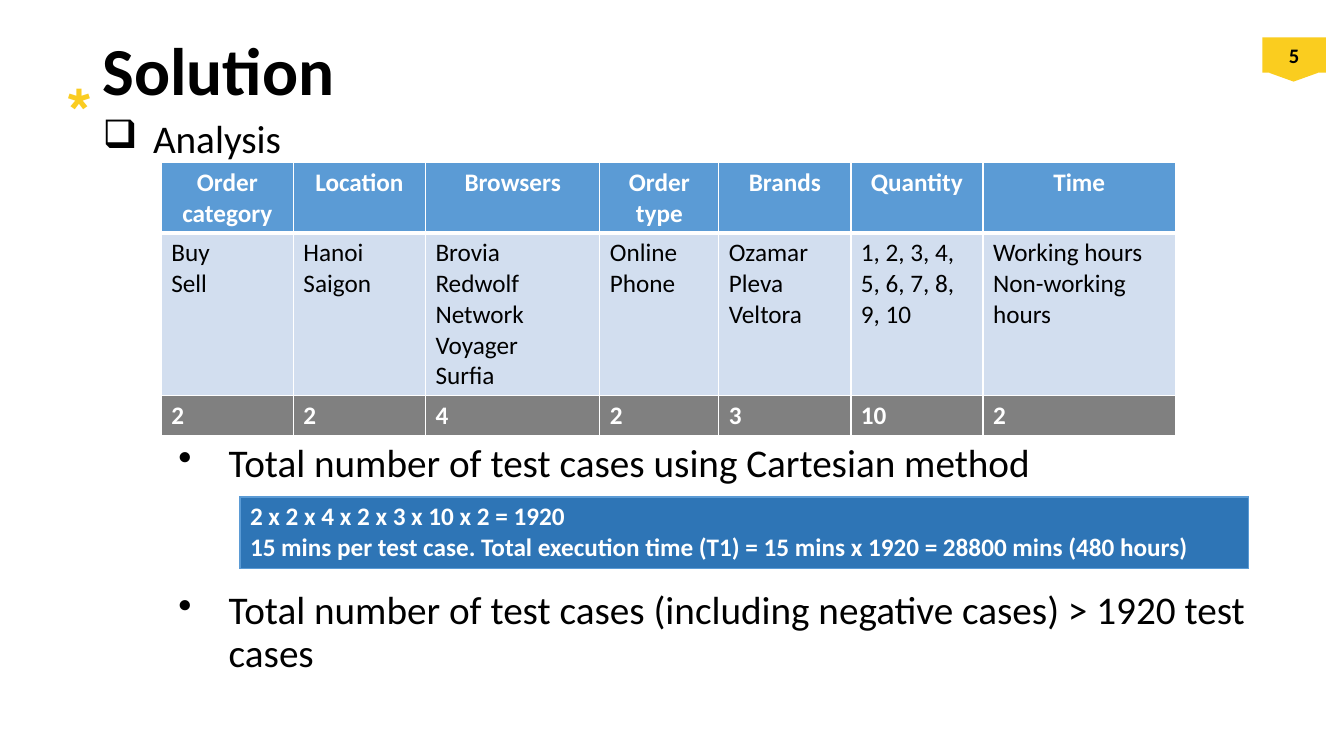
from pptx import Presentation
from pptx import util as u
from pptx.dml.color import RGBColor
from pptx.enum import shapes, text
from pptx.oxml import parse_xml
from pptx.oxml.ns import nsdecls

theme = {
    "font": "Calibri", "accent_font": "League Spartan",
    "black": "000000", "white": "FFFFFF", "yellow": "FACD1F", "star": "FACC21",
    "header": "5B9BD5", "values": "D2DEEF", "counts": "808080", "formula": "2E75B6",
    "title": 48, "body": 28, "cell": 18, "number": 14.7, "asterisk": 53.3,
}
left, center = text.PP_ALIGN.LEFT, text.PP_ALIGN.CENTER


def write(tf, lines, size, color="black", bold=False, font="font", **paragraph):
    for i, line in enumerate(lines):
        p = tf.paragraphs[0] if i == 0 else tf.add_paragraph()
        for name, value in {"alignment": left, **paragraph}.items():
            setattr(p, name, value)
        r = p.add_run()
        r.text = line
        for name, value in {"name": theme[font], "size": u.Pt(theme[size]), "bold": bold}.items():
            setattr(r.font, name, value)
        r.font.color.rgb = RGBColor.from_string(theme[color])


def fill_cell(cell, lines, fill, color, bold, align, border, bottom=1):
    write(cell.text_frame, lines, "cell", color, bold, alignment=align)
    tcPr = cell._tc.get_or_add_tcPr()
    for side, width in {"L": 1, "R": 1, "T": 1, "B": bottom}.items():
        tcPr.append(parse_xml(
            f'<a:ln{side} {nsdecls("a")} w="{u.Pt(width)}"><a:solidFill>'
            f'<a:srgbClr val="{theme[border]}"/></a:solidFill></a:ln{side}>'))
    cell.fill.solid()
    cell.fill.fore_color.rgb = RGBColor.from_string(theme[fill])


prs = Presentation()
prs.slide_width, prs.slide_height = u.Inches(13.33), u.Inches(7.5)
s = prs.slides.add_slide(prs.slide_layouts[6])

star = s.shapes.add_textbox(*map(u.Inches, (0.54, 0.6, 0.68, 1)))
write(star.text_frame, ["*"], "asterisk", "star", True, "accent_font")

for kind, box in (
    (shapes.MSO_SHAPE.FLOWCHART_OFFPAGE_CONNECTOR, (12.59, 0.38, 0.48, 0.43)),
    (shapes.MSO_SHAPE.RECTANGLE, (12.52, 0.37, 0.63, 0.35)),
):
    badge = s.shapes.add_shape(kind, *map(u.Inches, box))
    badge.shadow.inherit = False
    badge.fill.solid()
    badge.fill.fore_color.rgb = RGBColor.from_string(theme["yellow"])
    badge.line.fill.background()
badge.text_frame.vertical_anchor = text.MSO_ANCHOR.MIDDLE
write(badge.text_frame, ["5"], "number", bold=True, alignment=center)

title = s.shapes.add_textbox(*map(u.Inches, (0.92, 0.32, 10.58, 0.82)))
title.text_frame.word_wrap = True
title.text_frame.vertical_anchor = text.MSO_ANCHOR.MIDDLE
write(title.text_frame, ["Solution"], "title", bold=True, line_spacing=0.9)

body = s.shapes.add_textbox(*map(u.Inches, (0.92, 1.14, 11.8, 5.82)))
tf = body.text_frame
tf.word_wrap = True
write(tf, ["Analysis",
           "Total number of test cases using Cartesian method",
           "Total number of test cases (including negative cases) > 1920 test cases"],
      "body", line_spacing=0.9)
bullets = [("\u2751", 0.5, 0), ("\u2022", 1.25, 201), ("\u2022", 1.25, 75)]
for p, (mark, indent, before) in zip(tf.paragraphs, bullets):
    p.space_before = u.Pt(before)
    pPr = p._p.get_or_add_pPr()
    pPr.set("marL", str(u.Inches(indent)))
    pPr.set("indent", str(u.Inches(-0.5)))
    pPr.append(parse_xml(f'<a:buChar {nsdecls("a")} char="{mark}"/>'))

factors = [
    ("Order category", 1.31, ["Buy", "Sell"], 2),
    ("Location", 1.31, ["Hanoi", "Saigon"], 2),
    ("Browsers", 1.73, ["Brovia", "Redwolf", "Network Voyager", "Surfia"], 4),
    ("Order type", 1.18, ["Online", "Phone"], 2),
    ("Brands", 1.31, ["Ozamar", "Pleva", "Veltora"], 3),
    ("Quantity", 1.31, ["1, 2, 3, 4, 5, 6, 7, 8, 9, 10"], 10),
    ("Time", 1.91, ["Working hours", "Non-working hours"], 2),
]
analysis = s.shapes.add_table(3, len(factors), *map(u.Inches, (1.6, 1.61, 10.06, 2.71))).table
formula = s.shapes.add_table(1, 1, *map(u.Inches, (2.38, 4.93, 10, 0.71))).table
for table in (analysis, formula):
    table.first_row = table.horz_banding = False

for row, height in zip(analysis.rows, (0.7, 1.61, 0.4)):
    row.height = u.Inches(height)
for col, (name, width, values, count) in enumerate(factors):
    analysis.columns[col].width = u.Inches(width)
    fill_cell(analysis.cell(0, col), [name], "header", "white", True, center, "white", 3)
    fill_cell(analysis.cell(1, col), values, "values", "black", False, left, "white")
    fill_cell(analysis.cell(2, col), [str(count)], "counts", "white", True, left, "white")

fill_cell(formula.cell(0, 0), [
    "2 x 2 x 4 x 2 x 3 x 10 x 2 = 1920",
    "15 mins per test case. Total execution time (T1) = 15 mins x 1920 = 28800 mins (480 hours)",
], "formula", "white", True, left, "header")

prs.save("out.pptx")
